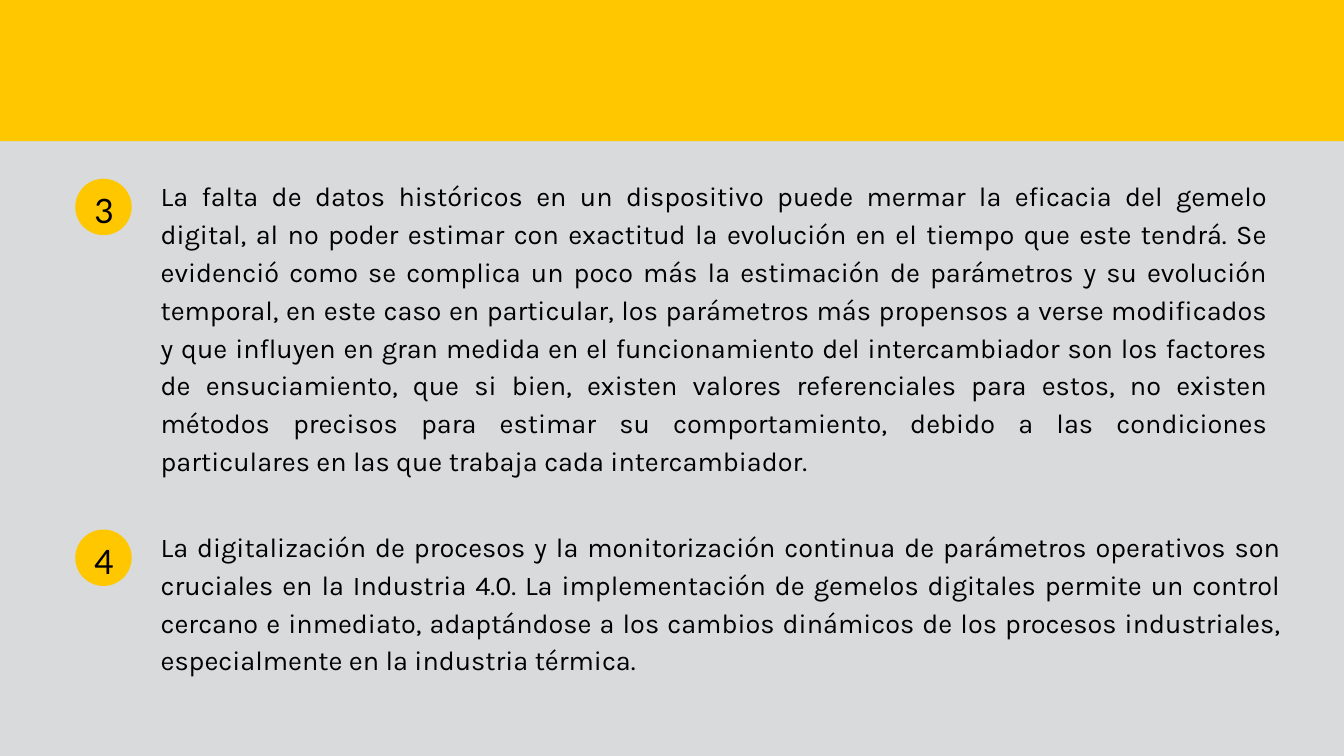
from pptx import Presentation
from pptx.dml.color import RGBColor
from pptx.enum.shapes import MSO_SHAPE
from pptx.enum.text import PP_ALIGN
from pptx.util import Inches, Pt

RECTANGLE, OVAL = MSO_SHAPE.RECTANGLE, MSO_SHAPE.OVAL
CENTER, JUSTIFY = PP_ALIGN.CENTER, PP_ALIGN.JUSTIFY

COLORS = {"background": "D9DADC", "yellow": "FFC700", "text": "000000"}

CONCLUSIONS = [
    ("3", 2.66, 2.59, 16.49, 5.04,
     "La falta de datos históricos en un dispositivo puede mermar la eficacia del gemelo digital, "
     "al no poder estimar con exactitud la evolución en el tiempo que este tendrá. Se evidenció "
     "como se complica un poco más la estimación de parámetros y su evolución temporal, en este "
     "caso en particular, los parámetros más propensos a verse modificados y que influyen en gran "
     "medida en el funcionamiento del intercambiador son los factores de ensuciamiento, que si "
     "bien, existen valores referenciales para estos, no existen métodos precisos para estimar su "
     "comportamiento, debido a las condiciones particulares en las que trabaja cada intercambiador."),
    ("4", 7.88, 7.81, 16.69, 2.23,
     "La digitalización de procesos y la monitorización continua de parámetros operativos son "
     "cruciales en la Industria 4.0. La implementación de gemelos digitales permite un control "
     "cercano e inmediato, adaptándose a los cambios dinámicos de los procesos industriales, "
     "especialmente en la industria térmica."),
]


def add_filled(page, kind, left, top, width, height):
    shape = page.shapes.add_shape(kind, Inches(left), Inches(top), Inches(width), Inches(height))
    shape.shadow.inherit = False
    shape.fill.solid()
    shape.fill.fore_color.rgb = RGBColor.from_string(COLORS["yellow"])
    shape.line.fill.background()


def add_text(page, left, top, width, height, text, font, size, spacing, alignment):
    box = page.shapes.add_textbox(Inches(left), Inches(top), Inches(width), Inches(height))
    frame = box.text_frame
    frame.word_wrap = True
    frame.margin_left = frame.margin_right = frame.margin_top = frame.margin_bottom = 0
    para = frame.paragraphs[0]
    para.alignment = alignment
    para.line_spacing = Pt(spacing)
    span = para.add_run()
    span.text = text
    span.font.name = font
    span.font.size = Pt(size)
    span.font.color.rgb = RGBColor.from_string(COLORS["text"])


deck = Presentation()
deck.slide_width = Inches(20)
deck.slide_height = Inches(11.25)
page = deck.slides.add_slide(deck.slide_layouts[6])
page.background.fill.solid()
page.background.fill.fore_color.rgb = RGBColor.from_string(COLORS["background"])

add_filled(page, RECTANGLE, 0, 0, 20, 2.1)

for number, circle_top, text_top, text_width, text_height, text in CONCLUSIONS:
    add_filled(page, OVAL, 1.12, circle_top, 0.84, 0.84)
    add_text(page, 1.25, circle_top - 0.02, 0.6, 0.73, number, "Lato", 36, 56.5, CENTER)
    add_text(page, 2.39, text_top, text_width, text_height, text, "Karla", 29, 40.6, JUSTIFY)

deck.save("out.pptx")
